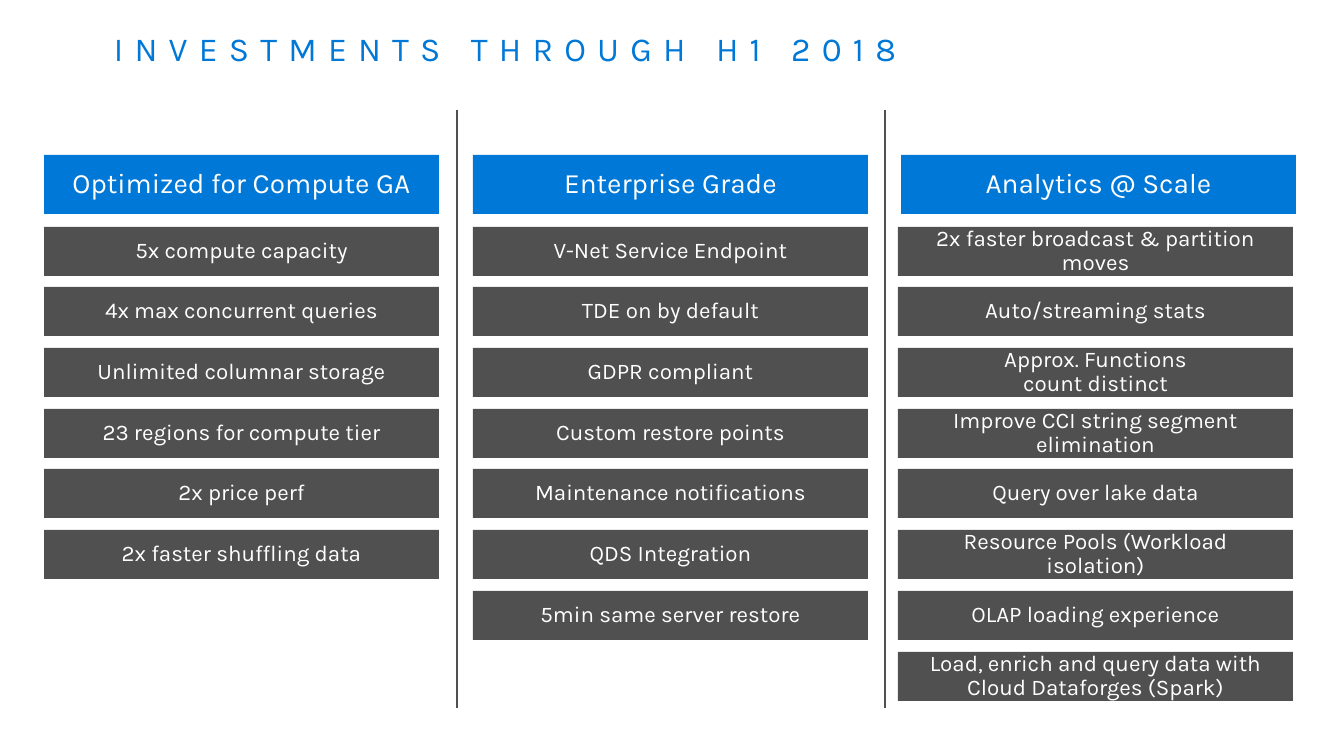
"""Build the slide of investments in three columns."""
from dataclasses import dataclass

from lxml.etree import SubElement
from pptx import Presentation
from pptx.dml.color import RGBColor
from pptx.enum.shapes import MSO_CONNECTOR as CONN, MSO_SHAPE as SHAPE
from pptx.enum.text import MSO_ANCHOR as ANCHOR, PP_ALIGN as ALIGN
from pptx.oxml.ns import qn
from pptx.util import Emu, Pt

BLUE = RGBColor(0x00, 0x78, 0xD7)
GRAY = RGBColor(0x50, 0x50, 0x50)
WHITE = RGBColor(0xFF, 0xFF, 0xFF)
FONT = "Karla"

COLUMN_W = 395
HEADER_Y, HEADER_H = 155, 59
ITEM_Y, ITEM_H = 227, 49
LAST_ITEM_Y, MAX_ITEMS = 652, 8
DIVIDER_Y1, DIVIDER_Y2 = 110, 708


@dataclass(frozen=True)
class Column:
    x: int
    items_x: int
    header: str
    items: tuple[str, ...]


COLUMNS = (
    Column(44, 44, "Optimized for Compute GA", (
        "5x compute capacity",
        "4x max concurrent queries",
        "Unlimited columnar storage",
        "23 regions for compute tier",
        "2x price perf",
        "2x faster shuffling data",
    )),
    Column(473, 473, "Enterprise Grade", (
        "V-Net Service Endpoint",
        "TDE on by default",
        "GDPR compliant",
        "Custom restore points",
        "Maintenance notifications",
        "QDS Integration",
        "5min same server restore",
    )),
    Column(901, 898, "Analytics @ Scale", (
        "2x faster broadcast & partition moves",
        "Auto/streaming stats",
        "Approx. Functions\ncount distinct",
        "Improve CCI string segment elimination",
        "Query over lake data",
        "Resource Pools (Workload isolation)",
        "OLAP loading experience",
        "Load, enrich and query data with Cloud Dataforges (Spark)",
    )),
)
DIVIDERS = (457, 885)


def px(n: int) -> Emu:
    return Emu(round(n * 914400 / 134.4))


def write(sp, text: str, *, size: int, color: RGBColor, inset: tuple[int, int],
          align=ALIGN.CENTER, anchor=ANCHOR.MIDDLE, spacing: int = 0) -> None:
    tf = sp.text_frame
    tf.word_wrap = True
    tf.vertical_anchor = anchor
    tf.margin_left = tf.margin_right = px(inset[0])
    tf.margin_top = tf.margin_bottom = px(inset[1])
    tf.text = text
    for p in tf.paragraphs:
        p.alignment = align
        p.line_spacing = 0.9
        for r in p.runs:
            r.font.name = FONT
            r.font.size = Pt(size)
            r.font.color.rgb = color
            if spacing:
                r.font._element.set("spc", str(spacing * 100))


def add_bar(s, x: int, y: int, h: int, text: str, fill: RGBColor, size: int) -> None:
    sp = s.shapes.add_shape(SHAPE.RECTANGLE, px(x), px(y), px(COLUMN_W), px(h))
    sp.shadow.inherit = False
    sp.fill.solid()
    sp.fill.fore_color.rgb = fill
    sp.line.fill.background()
    write(sp, text, size=size, color=WHITE, inset=(20, 16))


def add_column(s, column: Column) -> None:
    add_bar(s, column.x, HEADER_Y, HEADER_H, column.header, BLUE, 15)
    for i, item in enumerate(column.items):
        y = ITEM_Y + i * (LAST_ITEM_Y - ITEM_Y) // (MAX_ITEMS - 1)
        add_bar(s, column.items_x, y, ITEM_H, item, GRAY, 12)


def add_divider(s, x: int) -> None:
    line = s.shapes.add_connector(CONN.STRAIGHT, px(x), px(DIVIDER_Y1), px(x), px(DIVIDER_Y2))
    line.line.color.rgb = GRAY
    line.line.width = Pt(0.75)
    SubElement(line._element.spPr, qn("a:effectLst"))


def main() -> None:
    prs = Presentation()
    prs.slide_width, prs.slide_height = px(1344), px(756)
    s = prs.slides.add_slide(prs.slide_layouts[6])
    title = s.shapes.add_textbox(px(93), px(19), px(1159), px(146))
    write(title, "INVESTMENTS THROUGH H1 2018", size=18, color=BLUE, inset=(21, 13),
          align=ALIGN.LEFT, anchor=ANCHOR.TOP, spacing=6)
    for column in COLUMNS:
        add_column(s, column)
    for x in DIVIDERS:
        add_divider(s, x)
    prs.save("out.pptx")


main()
